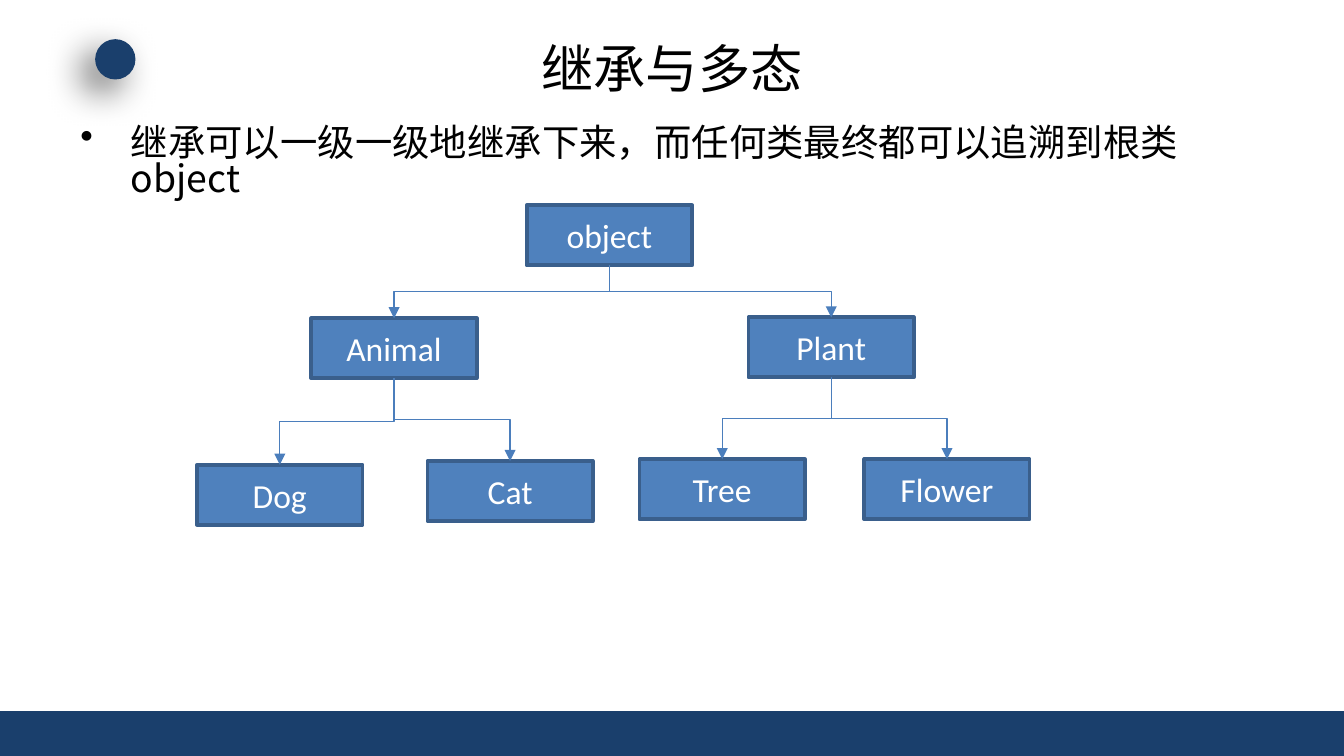
from dataclasses import dataclass

from lxml.etree import SubElement
from pptx import Presentation
from pptx.dml.color import RGBColor as RGB
from pptx.enum.shapes import MSO_CONNECTOR as LINK, MSO_SHAPE as SHAPE
from pptx.enum.text import MSO_ANCHOR as ANCHOR, PP_ALIGN as ALIGN
from pptx.oxml.ns import qn
from pptx.util import Pt


@dataclass(frozen=True)
class Theme:
    navy: RGB = RGB(0x1A, 0x3F, 0x6C)
    box: RGB = RGB(0x4F, 0x81, 0xBD)
    border: RGB = RGB(0x3A, 0x5F, 0x8C)
    link: RGB = RGB(0x4B, 0x7E, 0xBC)
    black: RGB = RGB(0, 0, 0)
    white: RGB = RGB(255, 255, 255)
    heading_font: str = "Noto Sans CJK SC"
    box_font: str = "Calibri"
    title_size: int = 28
    body_size: int = 20
    box_size: int = 18


class Deck:
    def __init__(self, slide, theme):
        self.shapes = slide.shapes
        self.theme = theme

    def style(self, paragraph, face, size, color):
        font = paragraph.font
        font.name, font.size, font.color.rgb = face, Pt(size), color
        SubElement(font._element, qn("a:ea"), typeface=face)

    def panel(self, kind, left, top, width, height, fill):
        panel = self.shapes.add_shape(kind, Pt(left), Pt(top), Pt(width), Pt(height))
        panel.shadow.inherit = False
        panel.fill.solid()
        panel.fill.fore_color.rgb = fill
        panel.line.fill.background()
        return panel

    def dot(self, left, top, size):
        dot = self.panel(SHAPE.OVAL, left, top, size, size, self.theme.navy)
        effects = dot._element.spPr.find(qn("a:effectLst"))
        shadow = SubElement(effects, qn("a:outerShdw"), blurRad=str(Pt(20)),
                            dist=str(Pt(10)), dir=str(135 * 60000), rotWithShape="0")
        black = SubElement(shadow, qn("a:srgbClr"), val=str(self.theme.black))
        SubElement(black, qn("a:alpha"), val="60000")

    def text(self, words, left, top, width, height, size, anchor):
        frame = self.shapes.add_textbox(Pt(left), Pt(top), Pt(width), Pt(height)).text_frame
        frame.word_wrap = True
        frame.vertical_anchor = anchor
        paragraph = frame.paragraphs[0]
        paragraph.text = words
        self.style(paragraph, self.theme.heading_font, size, self.theme.black)
        return paragraph

    def title(self, words):
        heading = self.text(words, 36, 16.5, 648, 39.6, self.theme.title_size, ANCHOR.MIDDLE)
        heading.alignment = ALIGN.CENTER

    def bullet(self, words):
        point = self.text(words, 36, 64.8, 648, 61.2, self.theme.body_size, ANCHOR.TOP)
        point.space_before = Pt(4)
        point.line_spacing = 0.8
        properties = point._element.get_or_add_pPr()
        properties.set("marL", str(Pt(27)))
        properties.set("indent", str(Pt(-27)))
        mark = SubElement(properties, qn("a:buChar"), char="•")
        properties.find(qn("a:defRPr")).addprevious(mark)

    def class_box(self, name, left, top):
        box = self.panel(SHAPE.RECTANGLE, left, top, 88.6, 32.2, self.theme.box)
        box.line.color.rgb = self.theme.border
        box.line.width = Pt(2)
        box.text_frame.vertical_anchor = ANCHOR.MIDDLE
        label = box.text_frame.paragraphs[0]
        label.text = name
        label.alignment = ALIGN.CENTER
        self.style(label, self.theme.box_font, self.theme.box_size, self.theme.white)
        return box

    def inherit(self, parent, child):
        start_x, start_y = parent.left + parent.width // 2, parent.top + parent.height
        end_x, end_y = child.left + child.width // 2, child.top
        link = self.shapes.add_connector(LINK.ELBOW, start_x, start_y, end_x, end_y)
        link.begin_connect(parent, 2)
        link.end_connect(child, 0)
        drop, reach = end_y - start_y, abs(end_x - start_x)
        link.left = (start_x + end_x - drop) // 2
        link.top = (start_y + end_y - reach) // 2
        link.width, link.height = drop, reach
        rightward = end_x > start_x
        properties = link._element.spPr
        frame = properties.find(qn("a:xfrm"))
        frame.set("rot", str((270 if rightward else 90) * 60000))
        frame.set("flipH", "1" if rightward else "0")
        frame.set("flipV", "0")
        link.line.color.rgb = self.theme.link
        link.line.width = Pt(0.75)
        SubElement(properties.find(qn("a:ln")), qn("a:tailEnd"), type="triangle")
        SubElement(properties, qn("a:effectLst"))


CLASSES = {
    "object": (282.2, 110),
    "Animal": (166.8, 170.5),
    "Plant": (401, 170),
    "Dog": (105.6, 249),
    "Cat": (229, 247),
    "Tree": (342.6, 246),
    "Flower": (463, 246),
}
CHILDREN = {
    "object": ("Plant", "Animal"),
    "Plant": ("Flower", "Tree"),
    "Animal": ("Cat", "Dog"),
}


def main():
    presentation = Presentation()
    presentation.slide_width, presentation.slide_height = Pt(720), Pt(405)
    slide = presentation.slides.add_slide(presentation.slide_layouts[6])
    deck = Deck(slide, Theme())
    deck.panel(SHAPE.RECTANGLE, 0, 381, 720, 24, deck.theme.navy)
    deck.dot(51, 21, 21.6)
    deck.title("继承与多态")
    deck.bullet("继承可以一级一级地继承下来，而任何类最终都可以追溯到根类object")
    boxes = {name: deck.class_box(name, *place) for name, place in CLASSES.items()}
    for parent, children in CHILDREN.items():
        for child in children:
            deck.inherit(boxes[parent], boxes[child])
    presentation.save("out.pptx")


if __name__ == "__main__":
    main()
